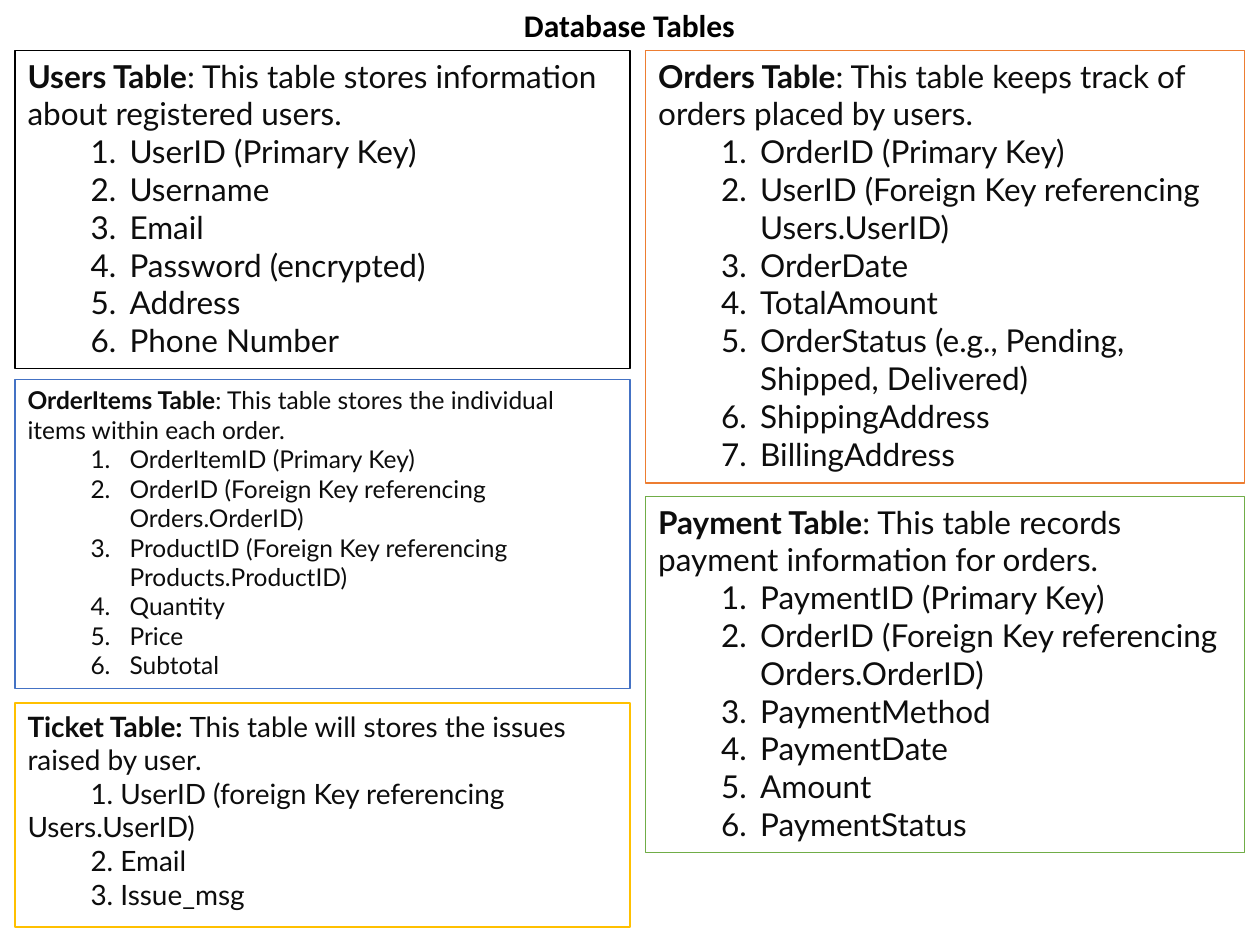
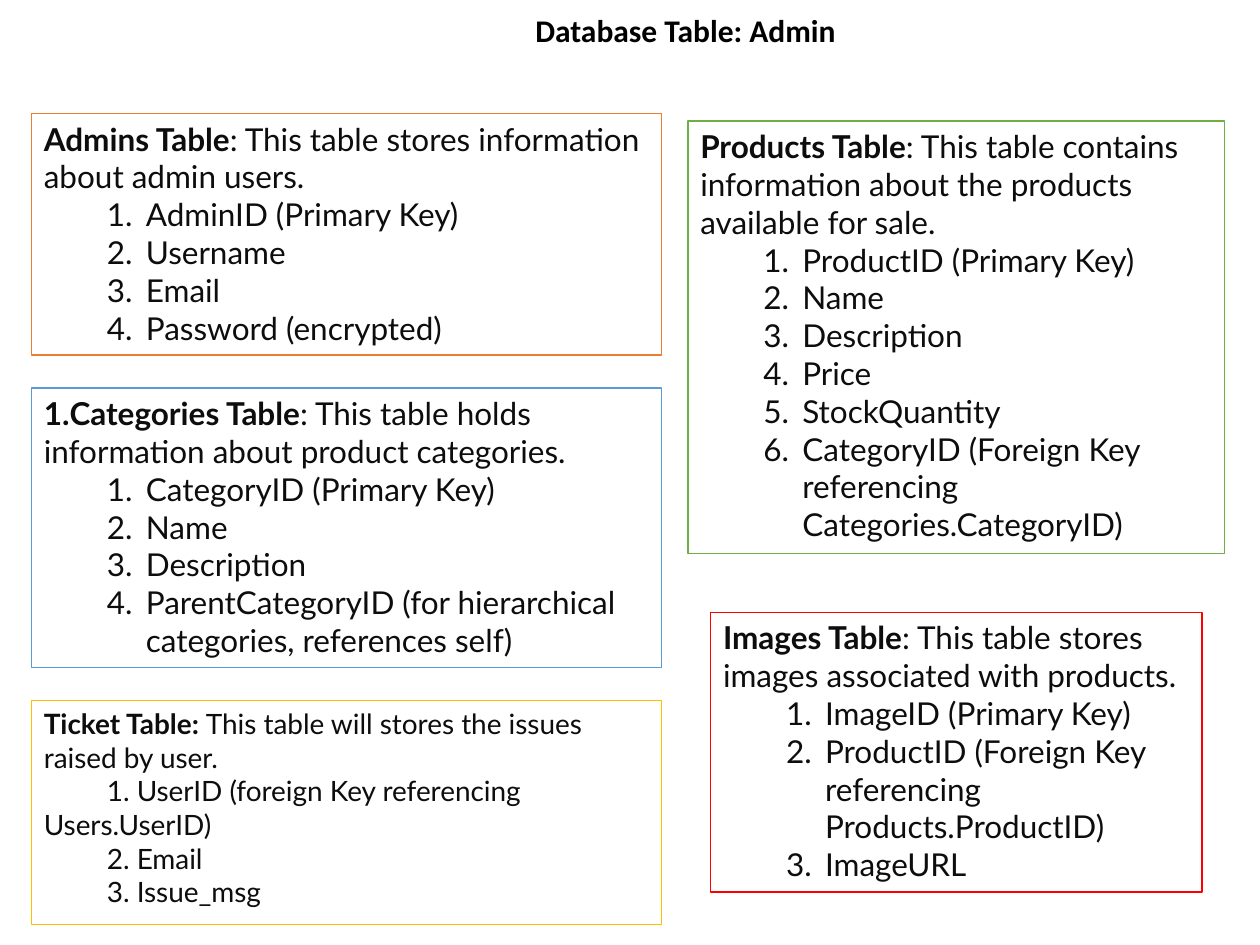
"""Builds two slides that describe the database tables of an online shop."""
from lxml.etree import SubElement
from pptx import Presentation
from pptx.dml.color import RGBColor
from pptx.enum.shapes import MSO_SHAPE
from pptx.enum.text import MSO_ANCHOR, PP_ALIGN
from pptx.oxml.ns import qn
from pptx.util import Inches, Pt

INK, BLACK = "0D0D0D", "000000"
BODY_FONT, TITLE_FONT = "Lato", "Calibri"
ORANGE, BLUE, GREEN, GOLD = "ED7D31", "4472C4", "70AD47", "FFC000"
SKY, RED = "5B9BD5", "FF0000"
LINES_PER_INCH_AT_1PT = 59.4
INSET_X, INSET_Y = 0.1, 0.05
ITEM_INDENT, NUMBER_GAP = 0.5, 0.31

TICKET = dict(
    name="Ticket Table: ", about="This table will stores the issues raised by user.",
    items=["1. UserID (foreign Key referencing Users.UserID)", "2. Email", "3. Issue_msg"],
    color=GOLD, size=16, lines=6.23, numbered=False)

PAGES = [
    dict(title="Database Tables", title_at=(4.06, 0, 1.89), columns=[
        dict(center=2.56, tables=[
            dict(name="Users Table", about=": This table stores information about registered users.",
                 items=["UserID (Primary Key)", "Username", "Email", "Password (encrypted)",
                        "Address", "Phone Number"],
                 color=BLACK, top=0.4, width=4.88, lines=8),
            dict(name="OrderItems Table",
                 about=": This table stores the individual items within each order.",
                 items=["OrderItemID (Primary Key)",
                        "OrderID (Foreign Key referencing Orders.OrderID)",
                        "ProductID (Foreign Key referencing Products.ProductID)",
                        "Quantity", "Price", "Subtotal"],
                 color=BLUE, top=3.01, width=4.88, lines=10, size=14),
            dict(TICKET, top=5.58, width=4.88)]),
        dict(center=7.5, tables=[
            dict(name="Orders Table", about=": This table keeps track of orders placed by users.",
                 items=["OrderID (Primary Key)", "UserID (Foreign Key referencing Users.UserID)",
                        "OrderDate", "TotalAmount",
                        "OrderStatus (e.g., Pending, Shipped, Delivered)",
                        "ShippingAddress", "BillingAddress"],
                 color=ORANGE, top=0.4, width=4.75, lines=11),
            dict(name="Payment Table", about=": This table records payment information for orders.",
                 items=["PaymentID (Primary Key)",
                        "OrderID (Foreign Key referencing Orders.OrderID)",
                        "PaymentMethod", "PaymentDate", "Amount", "PaymentStatus"],
                 color=GREEN, top=3.94, width=4.75, lines=9)])]),
    dict(title="Database Table: Admin", title_at=(4.15, 0.04, 2.61), columns=[
        dict(center=2.75, tables=[
            dict(name="Admins Table", about=": This table stores information about admin users.",
                 items=["AdminID (Primary Key)", "Username", "Email", "Password (encrypted)"],
                 color=ORANGE, top=0.9, width=5, lines=6),
            dict(name="Categories Table",
                 about=": This table holds information about product categories.",
                 items=["CategoryID (Primary Key)", "Name", "Description",
                        "ParentCategoryID (for hierarchical categories, references self)"],
                 color=SKY, top=3.08, width=5, lines=7, numbered_name=True),
            dict(TICKET, top=5.56, width=5)]),
        dict(center=7.59, tables=[
            dict(name="Products Table",
                 about=": This table contains information about the products available for sale.",
                 items=["ProductID (Primary Key)", "Name", "Description", "Price", "StockQuantity",
                        "CategoryID (Foreign Key referencing Categories.CategoryID)"],
                 color=GREEN, top=0.96, width=4.26, lines=11),
            dict(name="Images Table",
                 about=": This table stores images associated with products.",
                 items=["ImageID (Primary Key)",
                        "ProductID (Foreign Key referencing Products.ProductID)", "ImageURL"],
                 color=RED, top=4.86, width=3.9, lines=7)])]),
]


def rgb(code):
    return RGBColor.from_string(code)


def add_span(para, text, size=18, bold=False, font=BODY_FONT, color=INK):
    span = para.add_run()
    span.text = text
    span.font.size, span.font.bold, span.font.name = Pt(size), bold, font
    span.font.color.rgb = rgb(color)


def format_para(para, margin=0, indent=0, numbered=False, level=0):
    para.alignment, para.level = PP_ALIGN.LEFT, level
    properties = para._p.get_or_add_pPr()
    properties.set("marL", str(Inches(margin)))
    properties.set("indent", str(Inches(indent)))
    if numbered:
        SubElement(properties, qn("a:buAutoNum"), type="arabicPeriod")


def set_frame(frame, wrap):
    frame.word_wrap, frame.vertical_anchor = wrap, MSO_ANCHOR.TOP
    frame.margin_left = frame.margin_right = Inches(INSET_X)
    frame.margin_top = frame.margin_bottom = Inches(INSET_Y)


def add_title(page, text, left, top, width):
    box = page.shapes.add_textbox(Inches(left), Inches(top), Inches(width), Inches(0.4))
    set_frame(box.text_frame, wrap=False)
    add_span(box.text_frame.paragraphs[0], text, bold=True, font=TITLE_FONT, color=BLACK)


def add_table_card(page, center, name, about, items, color, top, width, lines,
                   size=18, numbered=True, numbered_name=False):
    height = size * lines / LINES_PER_INCH_AT_1PT + 2 * INSET_Y
    box = page.shapes.add_shape(MSO_SHAPE.RECTANGLE, Inches(center - width / 2), Inches(top),
                                Inches(width), Inches(height))
    box.shadow.inherit = False
    box.fill.background()
    box.line.color.rgb, box.line.width = rgb(color), Pt(0.75)
    frame = box.text_frame
    set_frame(frame, wrap=True)
    heading = frame.paragraphs[0]
    format_para(heading, numbered=numbered_name)
    add_span(heading, name, size, bold=True)
    add_span(heading, about, size)
    for item in items:
        para = frame.add_paragraph()
        if numbered:
            format_para(para, ITEM_INDENT + NUMBER_GAP, -NUMBER_GAP, numbered=True, level=1)
        else:
            format_para(para, indent=ITEM_INDENT)
        add_span(para, item, size)


def main():
    deck = Presentation()
    deck.slide_width, deck.slide_height = Inches(10), Inches(7.5)
    for content in PAGES:
        page = deck.slides.add_slide(deck.slide_layouts[6])
        add_title(page, content["title"], *content["title_at"])
        for column in content["columns"]:
            for table in column["tables"]:
                add_table_card(page, column["center"], **table)
    deck.save("out.pptx")


if __name__ == "__main__":
    main()
